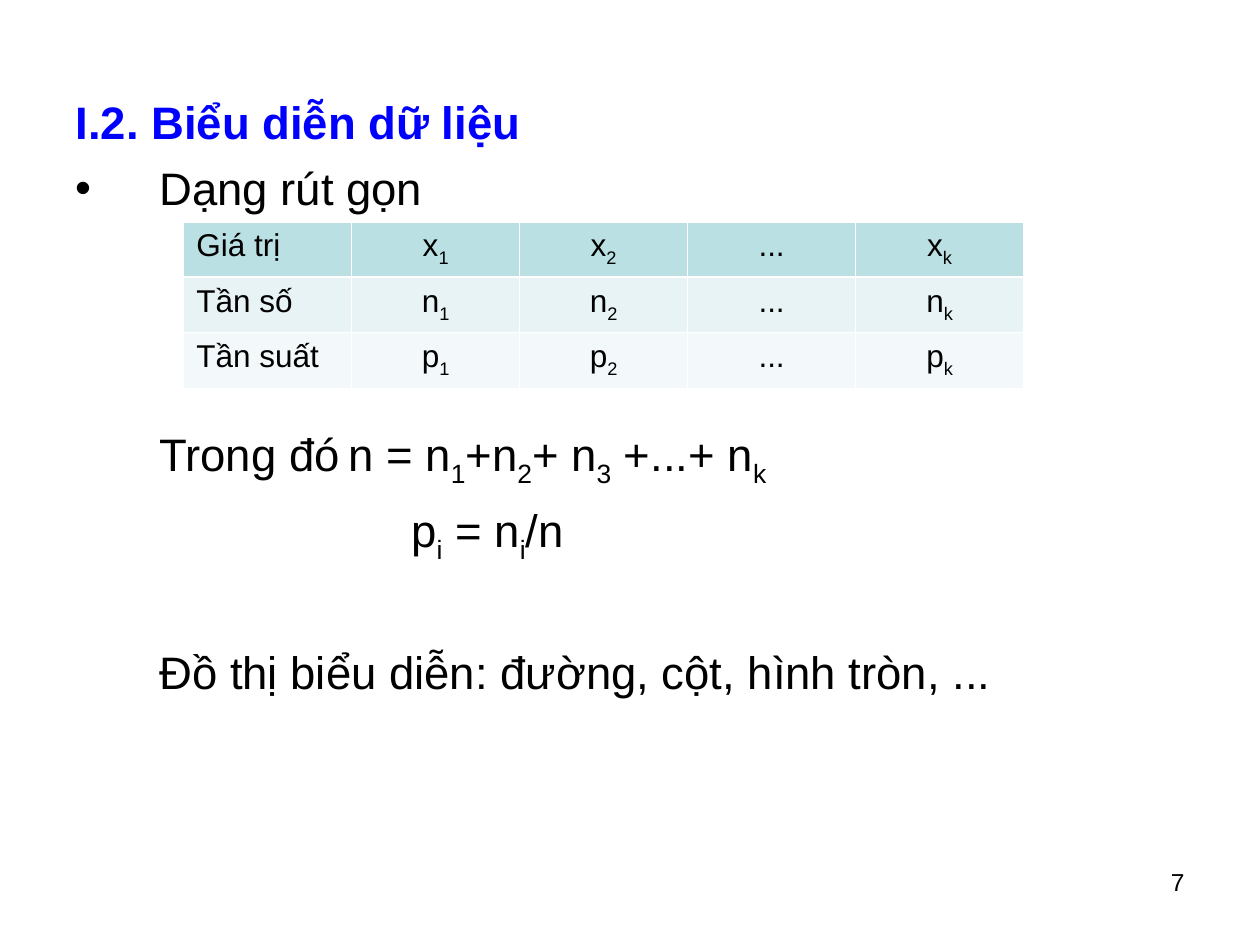
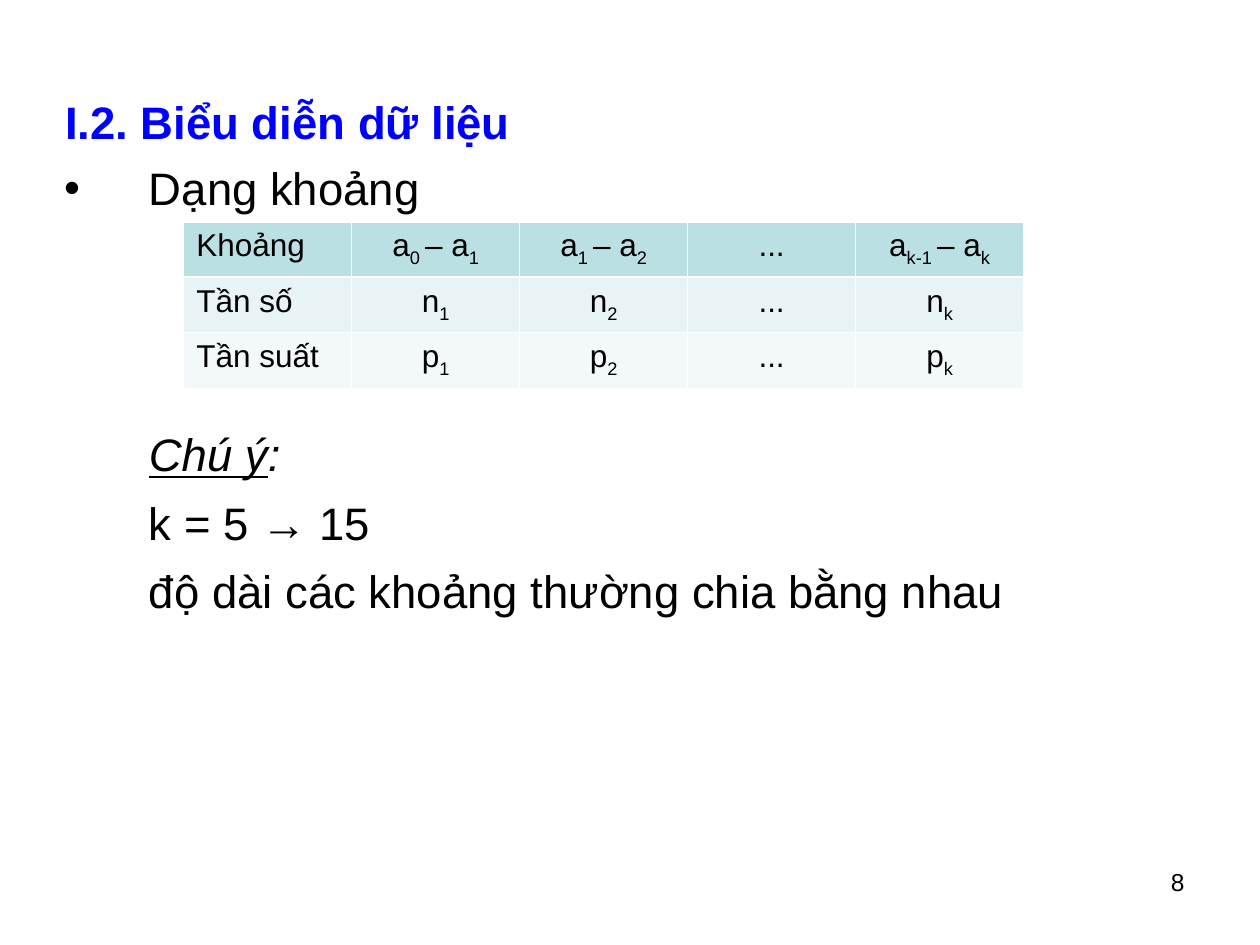
"""Build two slides on tabular forms of statistical data."""
import lxml.etree
import pptx
import pptx.dml.color
import pptx.enum.text
import pptx.oxml.ns
import pptx.util

Pt = pptx.util.Pt
ALIGN = pptx.enum.text.PP_ALIGN
QN = pptx.oxml.ns.qn
PITCH, GAP, HANG = 37.7, 7.8, 48
BODY = {"size": Pt(26), "color": "000000"}
HEAD = {"size": Pt(26), "color": "0000FF", "bold": True}
CELL = {"size": Pt(18), "color": "000000"}
FOOT = {"size": Pt(14), "color": "000000"}
FILLS = ["BBE0E3", "E7F3F4", "F3F9FA"]


def paint(target, code):
    rgb = pptx.dml.color.RGBColor.from_string(code)
    if hasattr(target, "solid"):
        target.solid()
        target.fore_color.rgb = rgb
    else:
        target.color.rgb = rgb


def node(parent, tag, **attrs):
    return lxml.etree.SubElement(parent, QN("a:" + tag), attrs)


class Deck:
    def __init__(self):
        self.file = pptx.Presentation()
        self.file.slide_width, self.file.slide_height = Pt(720), Pt(540)
        self.slide = None

    def words(self, par, text, style):
        for i, part in enumerate(text.split("~")):
            if not part:
                continue
            run = par.add_run()
            run.text = part
            run.font.name = "Arial"
            for key, value in style.items():
                if key == "color":
                    paint(run.font, value)
                else:
                    setattr(run.font, key, value)
            if i % 2:
                run.font._element.set("baseline", "-25000")

    def frame(self, shape, box, inset=0):
        for key, value in zip(("left", "top", "width", "height"), box):
            setattr(shape, key, Pt(value))
        frame = shape.text_frame
        form = {"word_wrap": True, "margin_top": Pt(inset), "margin_bottom": Pt(inset),
                "margin_left": Pt(7.2), "margin_right": Pt(7.2),
                "auto_size": pptx.enum.text.MSO_AUTO_SIZE.NONE,
                "vertical_anchor": pptx.enum.text.MSO_ANCHOR.TOP}
        for key, value in form.items():
            setattr(frame, key, value)
        return frame

    def start(self, title, left, width):
        self.slide = self.file.slides.add_slide(self.file.slide_layouts[5])
        frame = self.frame(self.slide.shapes.title, (left, 53.9, width, 34))
        par = frame.paragraphs[0]
        par.alignment = ALIGN.LEFT
        self.words(par, title, HEAD)

    def box(self, *box, inset=0):
        shape = self.slide.shapes.add_textbox(0, 0, 0, 0)
        return self.frame(shape, box, inset)

    def body(self, left, width, lines):
        frame = self.box(left, 53.9 + PITCH, width, 361)
        for i, (runs, form) in enumerate(lines):
            par = frame.add_paragraph() if i else frame.paragraphs[0]
            par.alignment = ALIGN.JUSTIFY
            if i:
                par.space_before = Pt(GAP + form.get("skip", 0) * PITCH)
            props = par._p.get_or_add_pPr()
            props.set("marL", str(Pt(form.get("indent", HANG))))
            props.set("indent", str(0 if i else -Pt(HANG)))
            if not i:
                node(node(props, "buClr"), "srgbClr", val="000000")
                node(props, "buFont", typeface="Arial")
                node(props, "buChar", char="•")
            if "tab" in form:
                node(node(props, "tabLst"), "tab", pos=str(Pt(form["tab"])), algn="l")
            for text, style in runs:
                self.words(par, text, {**BODY, **style})

    def table(self, rows):
        wide, high = 96, 31.7
        shape = self.slide.shapes.add_table(
            len(rows), len(rows[0]), Pt(105), Pt(126.8),
            Pt(wide * len(rows[0])), Pt(high * len(rows)))
        grid = shape.table
        grid.first_row = grid.horz_banding = False
        for col in grid.columns:
            col.width = Pt(wide)
        for r, row in enumerate(rows):
            grid.rows[r].height = Pt(high)
            for c, text in enumerate(row):
                cell = grid.cell(r, c)
                self.edge(cell, r)
                paint(cell.fill, FILLS[r])
                par = cell.text_frame.paragraphs[0]
                par.alignment = ALIGN.CENTER if c else ALIGN.LEFT
                self.words(par, text, CELL)

    def edge(self, cell, row):
        props = cell._tc.get_or_add_tcPr()
        for side in "LRTB":
            thick = (row, side) in ((0, "B"), (1, "T"))
            line = node(props, "ln" + side, w=str(Pt(1.47 if thick else 0.45)))
            node(node(line, "solidFill"), "srgbClr", val="FFFFFF")

    def number(self, text):
        par = self.box(516, 492, 168, 37.5, inset=3.6).paragraphs[0]
        par.alignment = ALIGN.RIGHT
        self.words(par, text, FOOT)


def plain(text, **form):
    return [(text, {})], form


def main():
    deck = Deck()
    counts = [["Tần số", "n~1~", "n~2~", "...", "n~k~"],
              ["Tần suất", "p~1~", "p~2~", "...", "p~k~"]]
    note = {"italic": True}
    pages = [
        (36, 654, ["Giá trị", "x~1~", "x~2~", "...", "x~k~"], [
            plain("Dạng rút gọn"),
            plain("Trong đó\tn = n~1~+n~2~+ n~3~ +...+ n~k~", skip=3, tab=144),
            plain("p~i~ = n~i~/n", indent=192),
            plain("Đồ thị biểu diễn: đường, cột, hình tròn, ...", skip=1)]),
        (30, 660, ["Khoảng", "a~0 ~– a~1~", "a~1 ~– a~2~", "...", "a~k-1 ~– a~k~"], [
            plain("Dạng khoảng"),
            ([("Chú ý", {**note, "underline": True}), (":", note)], {"skip": 3}),
            plain("k = 5 → 15"),
            plain("độ dài các khoảng thường chia bằng nhau")]),
    ]
    for page, (left, width, head, lines) in enumerate(pages, 7):
        deck.start("I.2. Biểu diễn dữ liệu", left, width)
        deck.body(left, width, lines)
        deck.table([head] + counts)
        deck.number(str(page))
    deck.file.save("out.pptx")


if __name__ == "__main__":
    main()
